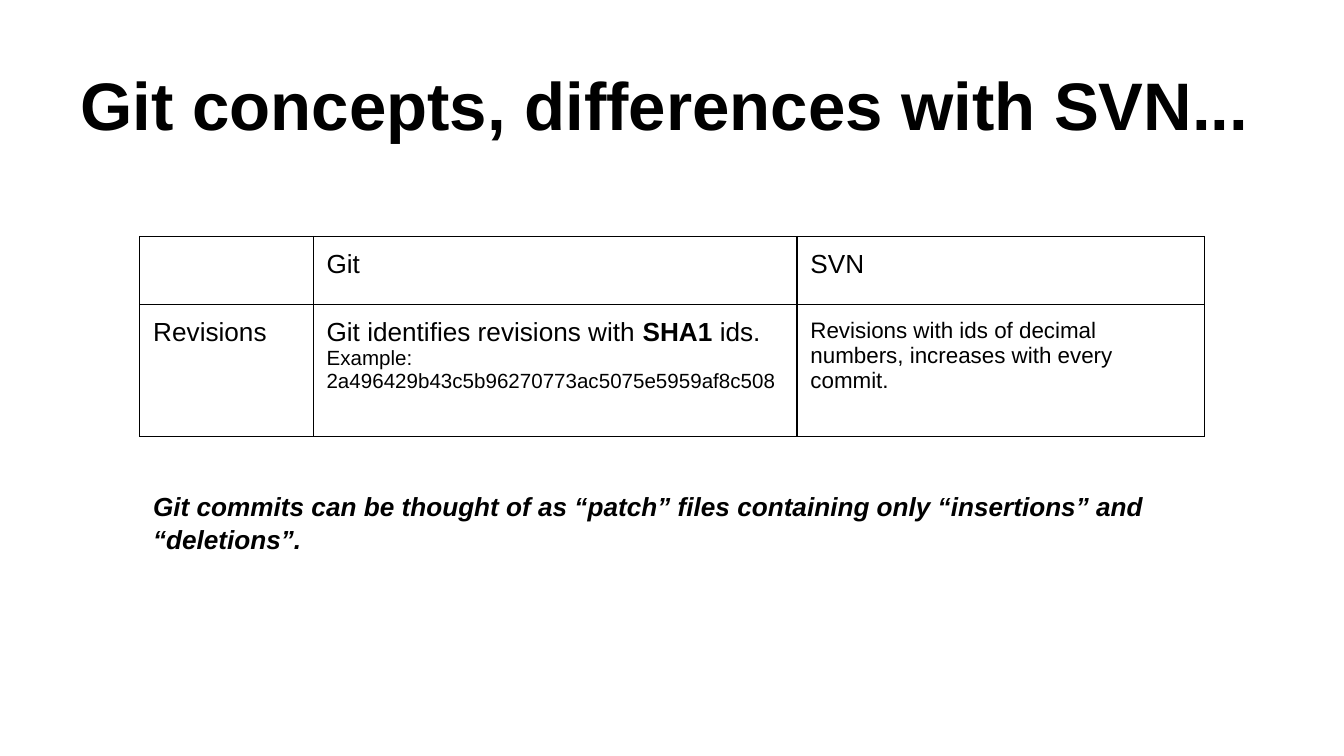
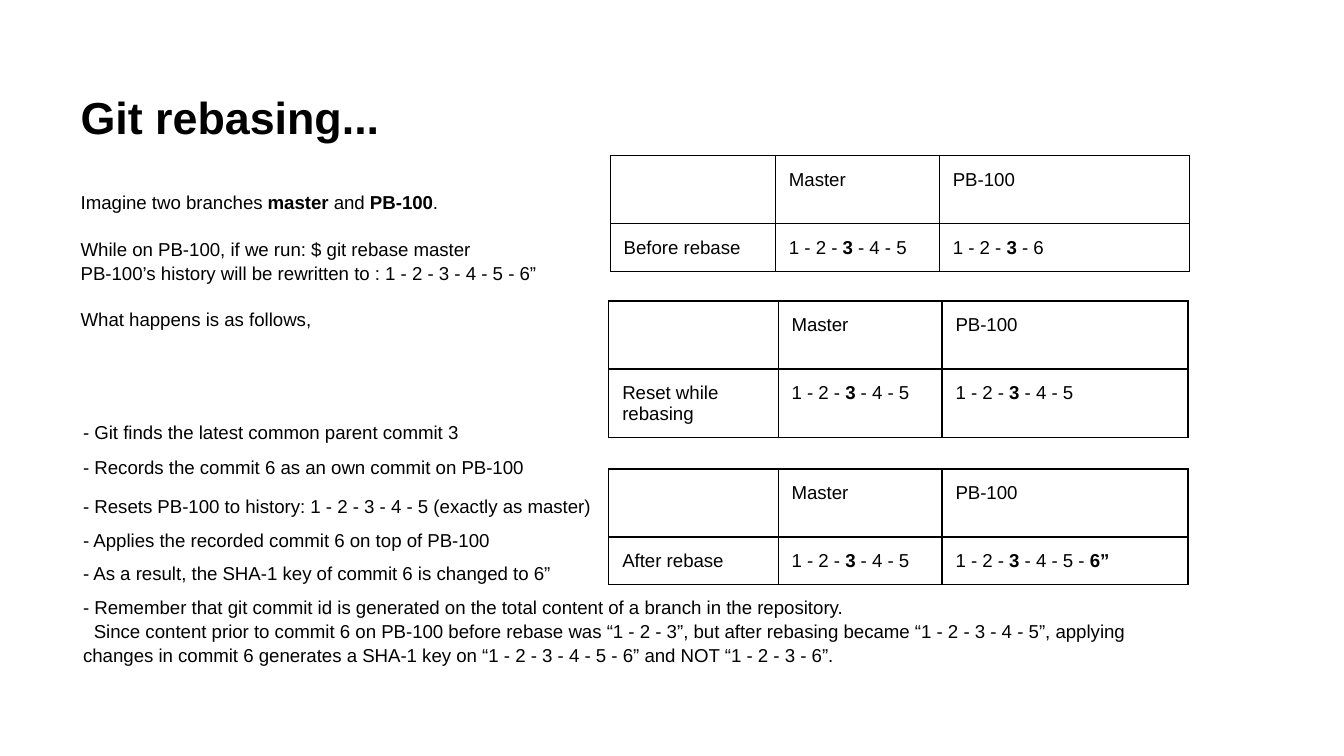
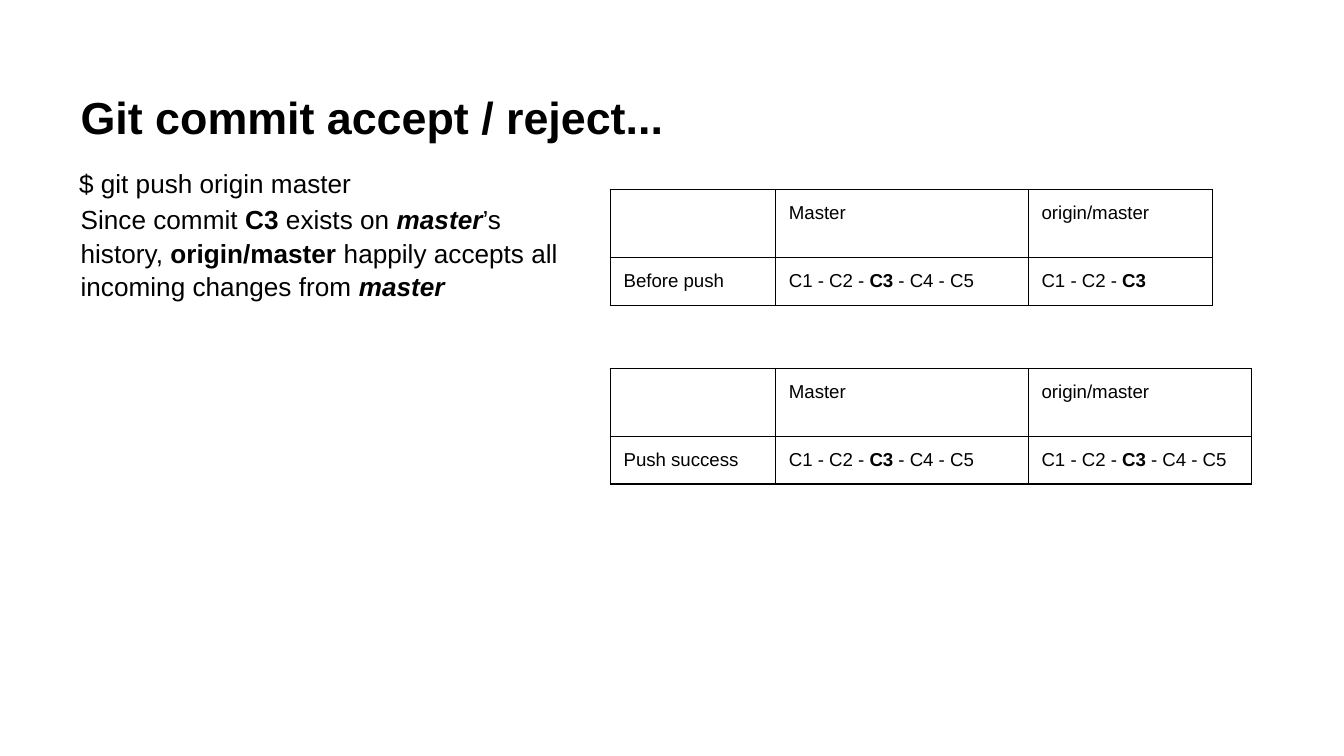
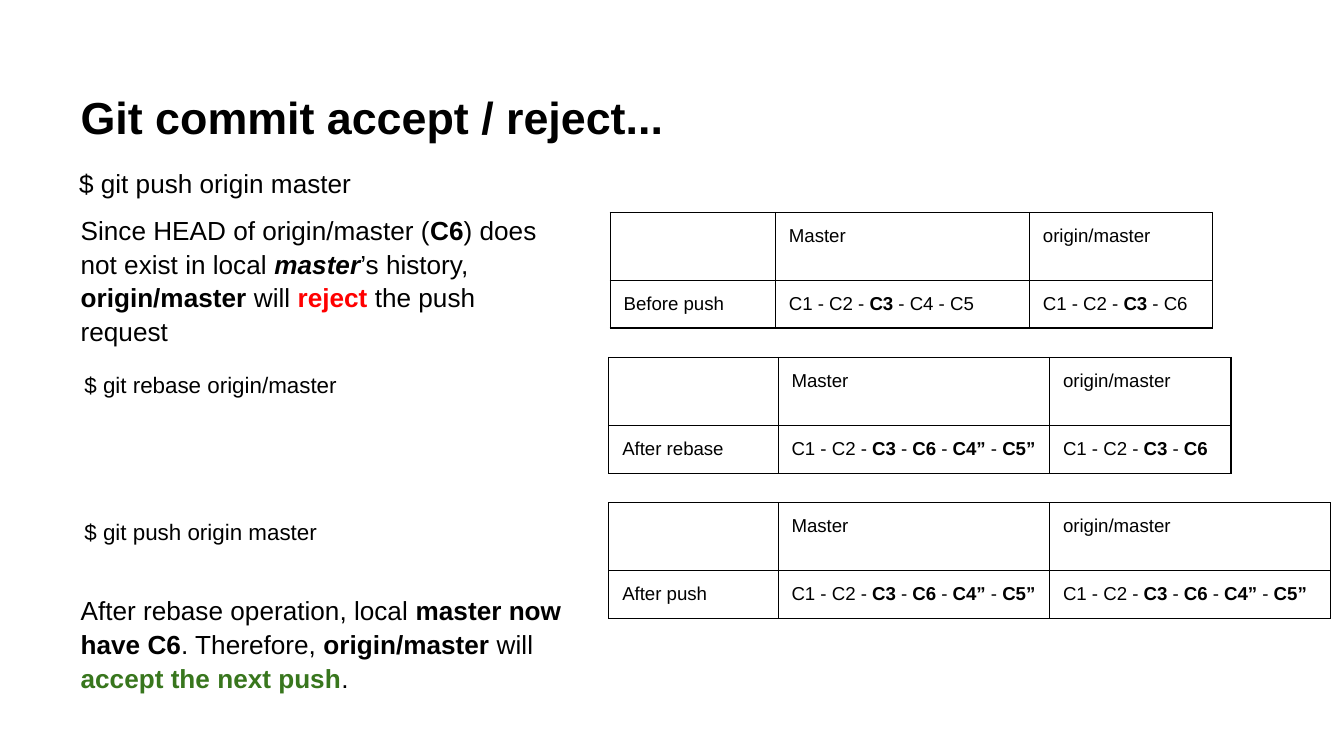
from dataclasses import dataclass

from lxml.etree import SubElement
from pptx import Presentation
from pptx.dml.color import RGBColor
from pptx.enum.text import MSO_ANCHOR, MSO_AUTO_SIZE, PP_ALIGN
from pptx.oxml.ns import qn
from pptx.util import Inches, Pt


@dataclass(frozen=True)
class Theme:
    font: str = "Arial"
    ink: str = "000000"
    reject: str = "FF0000"
    accept: str = "38761D"
    headline: int = 36
    title: int = 24
    lead: int = 14
    command: int = 12
    example: int = 11
    detail: int = 10
    line_spacing: float = 1.07
    border: float = 0.75


theme = Theme()
prs = Presentation()
prs.slide_width = Inches(10)
prs.slide_height = prs.slide_width * 9 // 16

# Grid: 100 square columns across the slide; all lengths below count them
GRID = prs.slide_width / 100
MARGIN = 1
TITLE_BOX = (5, 2.3, 90, 9.4)
HEADER_ROW, VALUE_ROW = 4.8, 3.53
TITLE_ONLY, TITLE_BODY, TITLE_TWO_BODIES = 5, 1, 3


def write(paragraph, text, size, bold=False, before=0, spacing=1.0):
    """Runs between asterisks are bold; a leading _ ! + ~ marks a variant."""
    paragraph.alignment = PP_ALIGN.LEFT
    paragraph.space_before = Pt(before)
    paragraph.line_spacing = spacing
    for index, part in enumerate(text.split("*")):
        if not part:
            continue
        variant = part[0] if index % 2 and part[0] in "_!+~" else ""
        run = paragraph.add_run()
        run.text = part[len(variant):]
        run.font.name = theme.font
        run.font.size = Pt(theme.example if variant == "~" else size)
        run.font.bold = bold or (index % 2 == 1 and variant != "~")
        run.font.italic = variant == "_"
        color = {"!": theme.reject, "+": theme.accept}.get(variant, theme.ink)
        run.font.color.rgb = RGBColor.from_string(color)


def place(shape, box, anchor=MSO_ANCHOR.TOP):
    """Put a text shape on the grid and return its frame."""
    shape.left, shape.top, shape.width, shape.height = (round(n * GRID) for n in box)
    frame = shape.text_frame
    frame.word_wrap = True
    frame.auto_size = MSO_AUTO_SIZE.NONE
    frame.vertical_anchor = anchor
    frame.margin_left = frame.margin_right = round(MARGIN * GRID)
    frame.margin_top = frame.margin_bottom = round(MARGIN * GRID)
    return frame


# Content. Bodies: box, size, [(text, space before)]
# Notes: box, size, bold italic or plain text, optional second paragraph
# Tables: left, top, column widths, value row height, header, values
FIVE = "1 - 2 - *3* - 4 - 5"
C_FIVE = "C1 - C2 - *C3* - C4 - C5"
C_REBASED = "C1 - C2 - *C3* - *C6* - *C4”* - *C5”*"
BRANCHES = ["Master", "PB-100"]
REMOTES = ["Master", "origin/master"]
PUSH = "$ git push origin master"

rebase_steps = [
    (30.2, 5, 40, "- Git finds the latest common parent commit 3"),
    (32.8, 5, 40, "- Records the commit 6 as an own commit on PB-100"),
    (35.7, 5, 40, "- Resets PB-100 to history: 1 - 2 - 3 - 4 - 5 (exactly as master)"),
    (38.2, 5, 40, "- Applies the recorded commit 6 on top of PB-100"),
    (40.7, 3.9, 81.3, "- As a result, the SHA-1 key of commit 6 is changed to 6”"),
    (43.2, 7, 81.3, "- Remember that git commit id is generated on the total content of a "
                    "branch in the repository.",
     "Since content prior to commit 6 on PB-100 before rebase was “1 - 2 - 3”, but after "
     "rebasing became “1 - 2 - 3 - 4 - 5”, applying changes in commit 6 generates a SHA-1 "
     "key on “1 - 2 - 3 - 4 - 5 - 6” and NOT “1 - 2 - 3 - 6”."),
]

deck = [
    dict(
        layout=TITLE_ONLY, title="Git concepts, differences with SVN...",
        title_size=theme.headline, cell_size=theme.lead, cell_before=0,
        bodies=[],
        notes=[((10.4, 35.3, 79.2, 12.6), theme.lead,
                "*_Git commits can be thought of as “patch” files containing only "
                "“insertions” and “deletions”.*")],
        tables=[(10.4, 17.6, (12.9, 36, 30.3), 9.8, ["Git", "SVN"],
                 ["Revisions",
                  "Git identifies revisions with *SHA1* ids. "
                  "*~Example: 2a496429b43c5b96270773ac5075e5959af8c508*",
                  "Revisions with ids of decimal numbers, increases with every commit."])],
    ),
    dict(
        layout=TITLE_BODY, title="Git rebasing...",
        title_size=theme.title, cell_size=theme.detail, cell_before=6,
        bodies=[((5, 13.1, 90, 33.9), theme.detail, [
            ("Imagine two branches *master* and *PB-100*.", 0),
            ("While on PB-100, if we run: $ git rebase master", 12),
            ("PB-100’s history will be rewritten to : 1 - 2 - 3 - 4 - 5 - 6”", 0),
            ("What happens is as follows,", 12)])],
        notes=[((5.2, top, width, height), theme.detail, *lines)
               for top, height, width, *lines in rebase_steps],
        tables=[
            (45.4, 11.6, (12.3, 12.2, 18.6), VALUE_ROW, BRANCHES,
             ["Before rebase", FIVE, "1 - 2 - *3* - 6"]),
            (45.3, 22.4, (12.6, 12.2, 18.3), 5.1, BRANCHES,
             ["Reset while rebasing", FIVE, FIVE]),
            (45.3, 34.9, (12.6, 12.2, 18.3), VALUE_ROW, BRANCHES,
             ["After rebase", FIVE, FIVE + " - *6”*"]),
        ],
    ),
    dict(
        layout=TITLE_BODY, title="Git commit accept / reject...",
        title_size=theme.title, cell_size=theme.detail, cell_before=6,
        bodies=[((5, 14, 38.1, 10.1), theme.lead, [
            ("Since commit *C3* exists on *_master*’s history, *origin/master *happily "
             "accepts all incoming changes from *_master*", 0)])],
        notes=[((4.9, 11.3, 40, 5), theme.lead, PUSH)],
        tables=[
            (45.4, 14.1, (12.3, 18.8, 13.7), VALUE_ROW, REMOTES,
             ["Before push", C_FIVE, "C1 - C2 - *C3*"]),
            (45.4, 27.4, (12.3, 18.8, 16.6), VALUE_ROW, REMOTES,
             ["Push success", C_FIVE, C_FIVE]),
        ],
    ),
    dict(
        layout=TITLE_TWO_BODIES, title="Git commit accept / reject...",
        title_size=theme.title, cell_size=theme.detail, cell_before=6,
        bodies=[
            ((5, 14.8, 38.1, 12.5), theme.lead, [
                ("Since HEAD of origin/master (*C6*) does not exist in local *_master*’s "
                 "history, *origin/master *will *!reject* the push request", 0)]),
            ((5, 43.1, 38.1, 10.1), theme.lead, [
                ("After rebase operation, local *master now have C6*. Therefore, "
                 "*origin/master* will *+accept the next push*.", 0)]),
        ],
        notes=[((4.9, 11.3, 40, 5), theme.lead, PUSH),
               ((5.3, 26.5, 40, 3.4), theme.command, "$ git rebase origin/master"),
               ((5.3, 37.4, 40, 3.4), theme.command, PUSH)],
        tables=[
            (45.4, 15.8, (12.3, 18.9, 13.6), VALUE_ROW, REMOTES,
             ["Before push", C_FIVE, "C1 - C2 - *C3* - C6"]),
            (45.3, 26.6, (12.6, 20.2, 13.5), VALUE_ROW, REMOTES,
             ["After rebase", C_REBASED, "C1 - C2 - *C3* - *C6*"]),
            (45.3, 37.4, (12.6, 20.2, 20.9), VALUE_ROW, REMOTES,
             ["After push", C_REBASED, C_REBASED]),
        ],
    ),
]

for page in deck:
    slide = prs.slides.add_slide(prs.slide_layouts[page["layout"]])
    heading, *body_holders = slide.placeholders

    # Title
    heading_frame = place(heading, TITLE_BOX, MSO_ANCHOR.BOTTOM)
    write(heading_frame.paragraphs[0], page["title"], page["title_size"], bold=True)

    # Body text, without the template's bullets
    for holder, (box, size, lines) in zip(body_holders, page["bodies"]):
        frame = place(holder, box)
        for index, (text, before) in enumerate(lines):
            paragraph = frame.add_paragraph() if index else frame.paragraphs[0]
            write(paragraph, text, size, before=before, spacing=theme.line_spacing)
            properties = paragraph._p.get_or_add_pPr()
            properties.set("marL", "0")
            properties.set("indent", "0")
            SubElement(properties, qn("a:buNone"))

    # Tables: header row over one row of values
    for left, top, widths, value_row, header, values in page["tables"]:
        heights = (HEADER_ROW, value_row)
        extent = [round(n * GRID) for n in (left, top, sum(widths), sum(heights))]
        history = slide.shapes.add_table(2, len(widths), *extent).table
        history.first_row = history.horz_banding = False
        for column, width in zip(history.columns, widths):
            column.width = round(width * GRID)
        for row, height, texts in zip(history.rows, heights, (["", *header], values)):
            row.height = round(height * GRID)
            for cell, text in zip(row.cells, texts):
                cell.margin_left = cell.margin_right = round(MARGIN * GRID)
                cell.margin_top = cell.margin_bottom = round(MARGIN * GRID)
                size = theme.command if text.startswith("Revisions with") else page["cell_size"]
                if text:
                    write(cell.text_frame.paragraphs[0], text, size, before=page["cell_before"])
                borders = cell._tc.get_or_add_tcPr()
                for side in ("a:lnL", "a:lnR", "a:lnT", "a:lnB"):
                    line = SubElement(borders, qn(side), w=str(Pt(theme.border)))
                    SubElement(SubElement(line, qn("a:solidFill")), qn("a:srgbClr"), val=theme.ink)
                cell.fill.background()

    # Notes; a second paragraph starts slightly indented
    for box, size, *lines in page["notes"]:
        frame = place(slide.shapes.add_textbox(0, 0, 0, 0), box)
        for index, text in enumerate(lines):
            paragraph = frame.add_paragraph() if index else frame.paragraphs[0]
            write(paragraph, text, size, spacing=theme.line_spacing)
            if index:
                paragraph._p.get_or_add_pPr().set("indent", str(Inches(0.08)))

prs.save("out.pptx")
